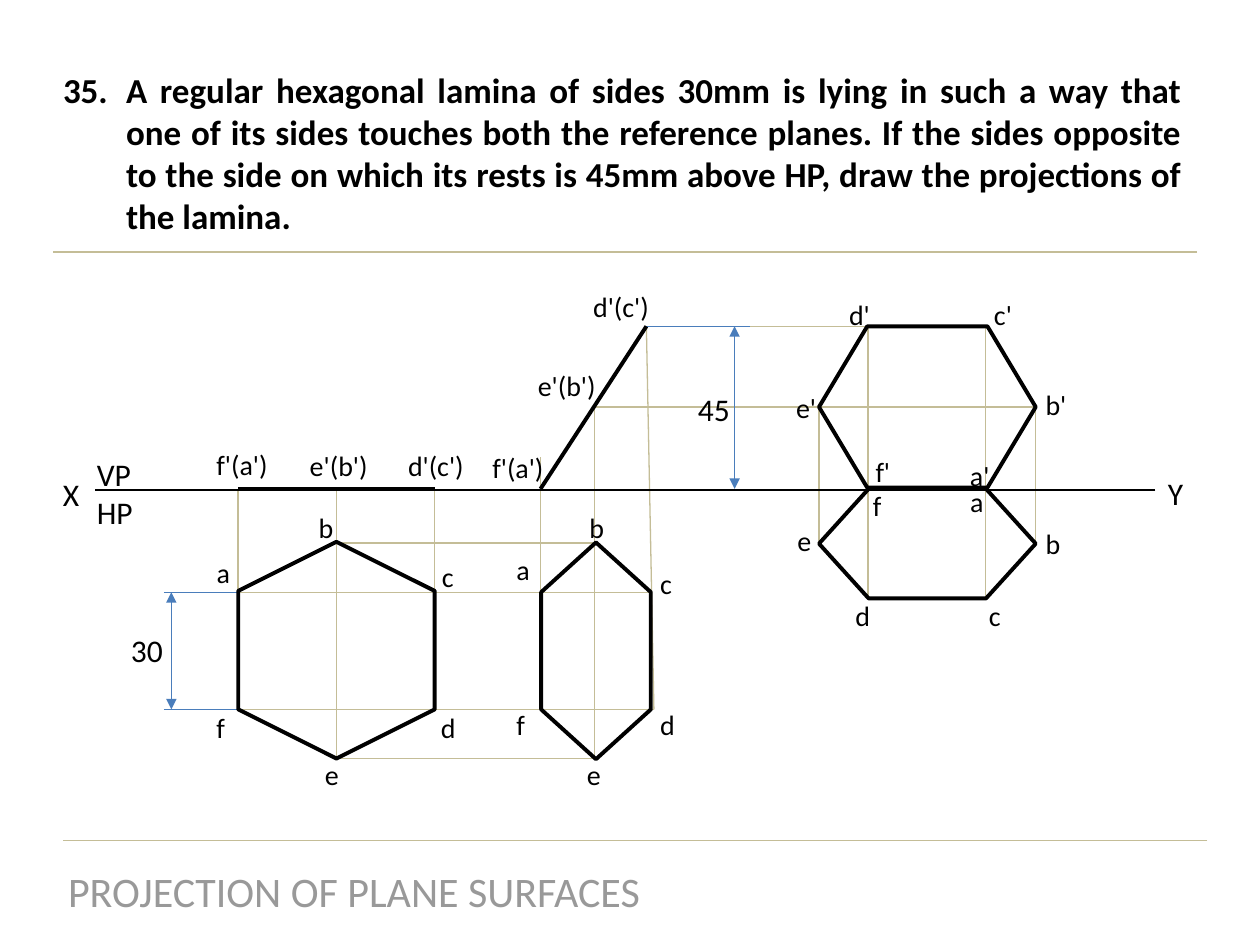
from dataclasses import dataclass

from lxml.etree import SubElement
from pptx import Presentation
from pptx.dml.color import RGBColor
from pptx.enum.shapes import MSO_CONNECTOR as Connector, MSO_SHAPE as Shape
from pptx.enum.text import MSO_ANCHOR as Anchor, MSO_AUTO_SIZE as AutoSize, PP_ALIGN as Align
from pptx.oxml.ns import qn
from pptx.util import Inches, Pt


@dataclass(frozen=True)
class Theme:
    font: str = "Calibri"
    ink: str = "000000"
    muted: str = "999999"
    projector: str = "C4BD97"
    dimension: str = "4A7DBB"
    footer_size: int = 24
    problem_size: int = 20
    note_size: int = 18
    label_size: int = 16
    thin: float = 0.75
    thick: float = 2.25


THEME = Theme()

PROBLEM = ("A regular hexagonal lamina of sides 30mm is lying in such a way that one of its "
           "sides touches both the reference planes. If the sides opposite to the side on which "
           "its rests is 45mm above HP, draw the projections of the lamina.")

# Levels and vertical lines shared by the views
XY = 3.88
TOP, MIDDLE = 2.59, 3.23
PLAN_B, PLAN_A, PLAN_F, PLAN_E = 4.31, 4.7, 5.63, 6.02
FIRST_LEFT, FIRST_MID, FIRST_RIGHT = 1.89, 2.67, 3.45
TILT_LEFT, TILT_MID, TILT_RIGHT = 4.29, 4.72, 5.13
FINAL_LEFT, FINAL_F, FINAL_A, FINAL_RIGHT = 6.5, 6.89, 7.82, 8.22
FINAL_BOTTOM = 4.75

PROJECTORS = [
    (FIRST_LEFT, PLAN_A, FIRST_LEFT, XY),
    (FIRST_RIGHT, XY, FIRST_RIGHT, PLAN_A),
    (FIRST_MID, PLAN_E, FIRST_MID, XY),
    (TILT_LEFT, PLAN_F, TILT_LEFT, 3.63),
    (TILT_RIGHT, TOP, 5.19, PLAN_F),
    (TILT_MID, PLAN_E, TILT_MID, MIDDLE),
    (TILT_MID, PLAN_B, FIRST_MID, PLAN_B),
    (5.16, PLAN_A, FIRST_LEFT, PLAN_A),
    (5.19, PLAN_F, FIRST_LEFT, PLAN_F),
    (TILT_MID, PLAN_E, FIRST_MID, PLAN_E),
    (FINAL_A, TOP, TILT_RIGHT, TOP),
    (FINAL_RIGHT, MIDDLE, TILT_MID, MIDDLE),
    (FINAL_F, FINAL_BOTTOM, FINAL_F, TOP),
    (FINAL_A, FINAL_BOTTOM, FINAL_A, TOP),
    (FINAL_LEFT, 4.32, FINAL_LEFT, MIDDLE),
    (FINAL_RIGHT, MIDDLE, FINAL_RIGHT, 4.32),
]

# left, top, width, height, corner adjustment, rotation
HEXAGONS = [
    (1.81, 4.38, 1.72, 1.56, 0.25, 90),
    (3.87, 4.73, 1.72, 0.87, 0.453, 90),
    (6.5, 3.88, 1.72, 0.87, 0.453, 0),
    (6.5, 2.59, 1.72, 1.28, 0.299, 0),
]

LETTER_WIDTHS = {"a": 0.31, "b": 0.32, "c": 0.3, "d": 0.32, "e": 0.31, "f": 0.27}
CORNER_LABELS = [
    ("a", 1.62, 4.36), ("b", 2.43, 4), ("c", 3.41, 4.39),
    ("d", 3.4, 5.59), ("e", 2.48, 5.96), ("f", 1.62, 5.59),
    ("f'(a')", 1.62, 3.5), ("e'(b')", 2.36, 3.51), ("d'(c')", 3.14, 3.51),
    ("a", 4, 4.34), ("b", 4.58, 4), ("c", 5.14, 4.45),
    ("d", 5.14, 5.57), ("e", 4.56, 5.96), ("f", 4, 5.57),
    ("f'(a')", 3.81, 3.53), ("e'(b')", 4.17, 2.88), ("d'(c')", 4.61, 2.25),
    ("a", 7.6, 3.8), ("b", 8.2, 4.13), ("c", 7.75, 4.7),
    ("d", 6.69, 4.7), ("e", 6.23, 4.11), ("f", 6.83, 3.83),
    ("a'", 7.6, 3.59), ("b'", 8.2, 3.03), ("c'", 7.79, 2.31),
    ("d'", 6.64, 2.31), ("e'", 6.22, 3.05), ("f'", 6.85, 3.56),
]
NOTES = [
    ("45", 5.44, 3.05, 0.46, 0.4), ("30", 0.94, 4.96, 0.46, 0.4),
    ("X", 0.4, 3.72, 0.33, 0.4), ("Y", 9.17, 3.71, 0.32, 0.4),
    ("VP\nHP", 0.67, 3.56, 0.49, 0.71),
]


def apply_format(target, values):
    for name, value in values.items():
        setattr(target, name, value)


def write(frame, text, size, color=THEME.ink, bold=False, align=Align.LEFT, wrap=False):
    apply_format(frame, {"text": text, "word_wrap": wrap, "auto_size": AutoSize.NONE,
                         "vertical_anchor": Anchor.TOP})
    for paragraph in frame.paragraphs:
        apply_format(paragraph, {"alignment": align, "space_before": Pt(0)})
        for run in paragraph.runs:
            apply_format(run.font, {"name": THEME.font, "size": Pt(size), "bold": bold})
            run.font.color.rgb = RGBColor.from_string(color)


def place(shape, left, top, width, height):
    apply_format(shape, {"left": Inches(left), "top": Inches(top),
                         "width": Inches(width), "height": Inches(height)})


def number_paragraph(paragraph, start):
    """Give the paragraph an automatic number and a hanging indent."""
    props = paragraph._p.get_or_add_pPr()
    props.set("marL", str(Inches(0.5)))
    props.set("indent", str(Inches(-0.5)))
    bullet_color = SubElement(props, qn("a:buClr"))
    SubElement(bullet_color, qn("a:srgbClr"), val=THEME.ink)
    SubElement(props, qn("a:buFont"), typeface="+mj-lt")
    SubElement(props, qn("a:buAutoNum"), type="arabicPeriod", startAt=str(start))


def add_text(slide, text, left, top, width, height, size):
    box = slide.shapes.add_textbox(*map(Inches, (left, top, width, height)))
    write(box.text_frame, text, size)


def add_line(slide, ends, color, weight=THEME.thin, arrows=False):
    connector = slide.shapes.add_connector(Connector.STRAIGHT, *map(Inches, ends))
    connector.line.color.rgb = RGBColor.from_string(color)
    connector.line.width = Pt(weight)
    if arrows:
        outline = connector.line._get_or_add_ln()
        for end in ("a:headEnd", "a:tailEnd"):
            SubElement(outline, qn(end), type="triangle")
    SubElement(connector._element.spPr, qn("a:effectLst"))


def add_dimension(slide, x, top, bottom, extensions):
    """Draw a vertical double arrow with its extension lines (start, end, y)."""
    add_line(slide, (x, top, x, bottom), THEME.dimension, arrows=True)
    for start, end, y in extensions:
        add_line(slide, (start, y, end, y), THEME.dimension)


def add_hexagon(slide, left, top, width, height, corner, rotation):
    lamina = slide.shapes.add_shape(Shape.HEXAGON, *map(Inches, (left, top, width, height)))
    lamina.adjustments[0] = corner
    lamina.rotation = rotation
    lamina.shadow.inherit = False
    lamina.fill.background()
    lamina.line.color.rgb = RGBColor.from_string(THEME.ink)
    lamina.line.width = Pt(THEME.thick)


def add_corner_label(slide, text, left, top):
    width = sum(LETTER_WIDTHS.get(letter, 0) for letter in text) + 0.05 * ("'" in text)
    add_text(slide, text, left, top, width, 0.37, THEME.label_size)


def fill_placeholders(slide):
    footer, problem = slide.shapes.title, slide.placeholders[1]
    place(footer, 0.42, 6.82, 4.78, 0.5)
    write(footer.text_frame, "PROJECTION OF PLANE SURFACES", THEME.footer_size,
          THEME.muted, align=Align.CENTER)
    place(problem, 0.4, 0.49, 9.08, 1.45)
    write(problem.text_frame, PROBLEM, THEME.problem_size, bold=True,
          align=Align.JUSTIFY, wrap=True)
    number_paragraph(problem.text_frame.paragraphs[0], 35)


def main():
    deck = Presentation()
    deck.slide_width, deck.slide_height = Inches(10), Inches(7.5)
    slide = deck.slides.add_slide(deck.slide_layouts[1])
    fill_placeholders(slide)

    for divider in ((9.5, 2, 0.42, 2), (9.58, 6.67, 0.5, 6.67)):
        add_line(slide, divider, THEME.projector)
    for projector in PROJECTORS:
        add_line(slide, projector, THEME.projector)
    add_dimension(slide, 5.83, TOP, XY, [(TILT_RIGHT, 5.95, TOP)])
    add_dimension(slide, 1.36, PLAN_A, PLAN_F,
                  [(1.3, FIRST_LEFT, PLAN_A), (1.3, FIRST_LEFT, PLAN_F)])

    add_line(slide, (9.17, 3.89, 0.75, 3.89), THEME.ink)
    for edge_view in ((FIRST_RIGHT, XY, FIRST_LEFT, XY), (TILT_RIGHT, TOP, TILT_LEFT, XY)):
        add_line(slide, edge_view, THEME.ink, THEME.thick)
    for hexagon in HEXAGONS:
        add_hexagon(slide, *hexagon)

    for note in NOTES:
        add_text(slide, *note, THEME.note_size)
    for label in CORNER_LABELS:
        add_corner_label(slide, *label)
    deck.save("out.pptx")


if __name__ == "__main__":
    main()
